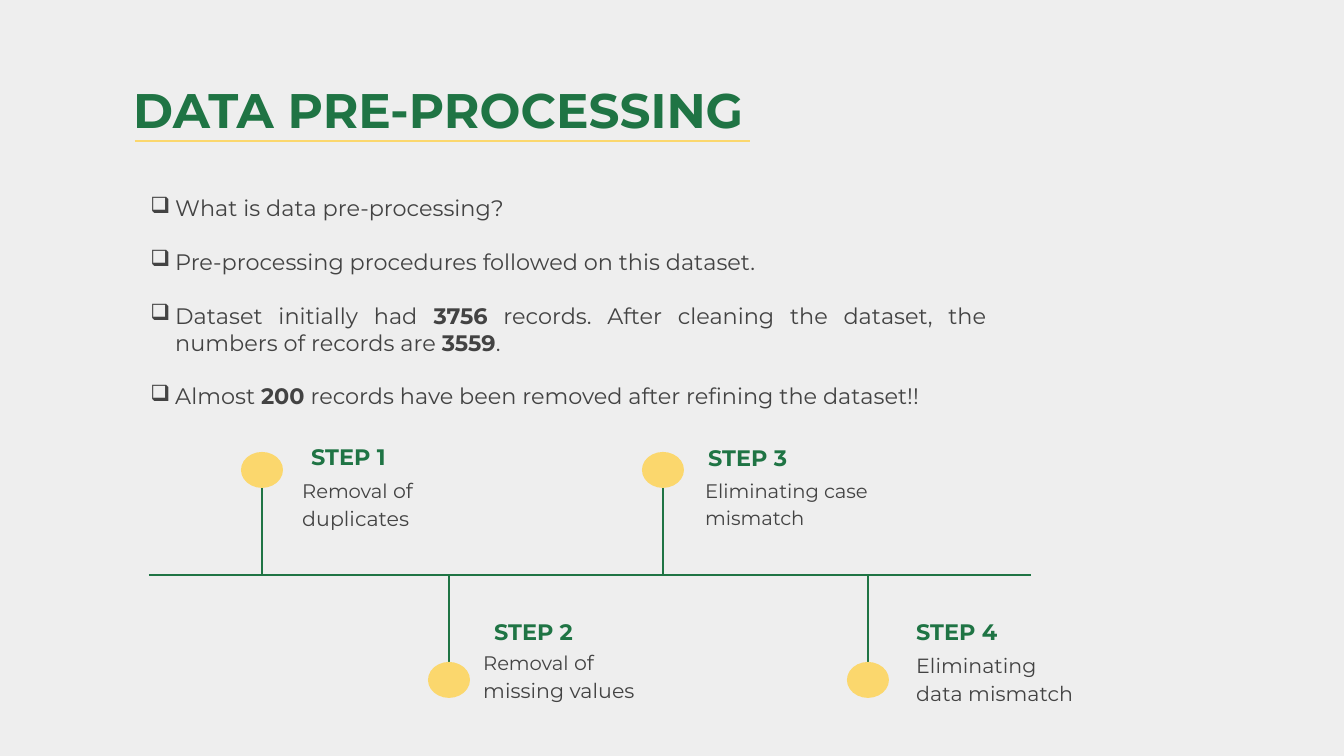
from lxml import etree
from pptx import Presentation
from pptx import util as u
from pptx.dml.color import RGBColor
from pptx.enum import shapes, text
from pptx.oxml import ns

PX = 914400 / 134.4
FONT = "Montserrat"
PAPER = RGBColor(0xEE, 0xEE, 0xEE)
GREEN = RGBColor(0x1F, 0x74, 0x44)
YELLOW = RGBColor(0xFB, 0xD7, 0x6D)
GREY = RGBColor(0x43, 0x43, 0x43)

AXIS_Y = 575
STEM = 87
DOT_WIDTH, DOT_HEIGHT = 42, 36

# Each paragraph is a list of (text, bold) spans.
POINTS = [
    [("What is data pre-processing?", False)],
    [("Pre-processing procedures followed on this dataset.", False)],
    [("Dataset initially had ", False), ("3756", True),
     (" records. After cleaning the dataset, the numbers of records are ", False),
     ("3559", True), (".", False)],
    [("Almost ", False), ("200", True),
     (" records have been removed after refining the dataset!!", False)],
]

# Pin x, direction (-1 up, 1 down), heading and its place,
# detail spans as (text, size) and the detail's box.
STEPS = [
    (262, -1, "STEP 1", (298, 430),
     [("Removal", 10.5), (" of duplicates", 11)], (289, 461, 175, 85)),
    (449, 1, "STEP 2", (481, 605),
     [("Removal", 10.5), (" of missing values", 11)], (470, 633, 190, 69)),
    (663, -1, "STEP 3", (695, 431),
     [("Eliminating case mismatch", 10.5)], (692, 462, 190, 85)),
    (868, 1, "STEP 4", (903, 605),
     [("Eliminating data mismatch", 11)], (903, 636, 192, 85)),
]


def px(*lengths):
    return [u.Emu(round(length * PX)) for length in lengths]


def add_text_box(page, place):
    frame = page.shapes.add_textbox(*px(*place)).text_frame
    frame.word_wrap = True
    frame.margin_left = frame.margin_right = u.Inches(0.1)
    frame.margin_top = frame.margin_bottom = u.Inches(0.1)
    return frame


def add_span(para, words, *, size=12, color=GREY, bold=False):
    span = para.add_run()
    span.text = words
    span.font.name = FONT
    span.font.size = u.Pt(size)
    span.font.bold = bold
    span.font.color.rgb = color


def add_line(page, start, end, color):
    line = page.shapes.add_connector(
        shapes.MSO_CONNECTOR.STRAIGHT, *px(*start, *end))
    line.line.color.rgb = color
    line.line.width = u.Pt(1.5)
    etree.SubElement(line._element.spPr, ns.qn("a:effectLst"))


def add_dot(page, x, y):
    dot = page.shapes.add_shape(
        shapes.MSO_SHAPE.OVAL, *px(x, y, DOT_WIDTH, DOT_HEIGHT))
    dot.shadow.inherit = False
    dot.fill.solid()
    dot.fill.fore_color.rgb = YELLOW
    dot.line.fill.background()


def set_bullet(para, char, color):
    """Give the paragraph a coloured bullet with a hanging indent."""
    props = para._p.get_or_add_pPr()
    margin, indent = px(42, -25)
    props.set("marL", str(int(margin)))
    props.set("indent", str(int(indent)))
    bullet_color = etree.SubElement(props, ns.qn("a:buClr"))
    etree.SubElement(bullet_color, ns.qn("a:srgbClr"), val=str(color))
    etree.SubElement(props, ns.qn("a:buChar"), char=char)


def add_points(page, place):
    frame = add_text_box(page, place)
    for index, spans in enumerate(POINTS):
        para = frame.add_paragraph() if index else frame.paragraphs[0]
        para.alignment = text.PP_ALIGN.JUSTIFY
        if index:
            para.space_before = u.Pt(14.4)
        set_bullet(para, "❑", GREY)
        for words, bold in spans:
            add_span(para, words, bold=bold)


def add_step(page, x, direction, heading, corner, detail, place):
    tip = AXIS_Y + direction * STEM
    add_line(page, (x, min(tip, AXIS_Y)), (x, max(tip, AXIS_Y)), GREEN)
    add_dot(page, x - DOT_WIDTH // 2, tip if direction > 0 else tip - DOT_HEIGHT)

    title = add_text_box(page, (*corner, 134, 58)).paragraphs[0]
    add_span(title, heading, color=GREEN, bold=True)

    para = add_text_box(page, place).paragraphs[0]
    para.line_spacing = 1.15
    para.space_after = u.Pt(16)
    for words, size in detail:
        add_span(para, words, size=size)


def main():
    deck = Presentation()
    deck.slide_width, deck.slide_height = px(1344, 756)
    page = deck.slides.add_slide(deck.slide_layouts[6])
    page.background.fill.solid()
    page.background.fill.fore_color.rgb = PAPER

    title = add_text_box(page, (120, 67, 1103, 85)).paragraphs[0]
    add_span(title, "DATA PRE-PROCESSING", size=26, color=GREEN, bold=True)
    add_line(page, (135, 141), (750, 141), YELLOW)
    add_points(page, (120, 181, 880, 249))

    add_line(page, (149, AXIS_Y), (1031, AXIS_Y), GREEN)
    for step in STEPS:
        add_step(page, *step)

    deck.save("out.pptx")


if __name__ == "__main__":
    main()
